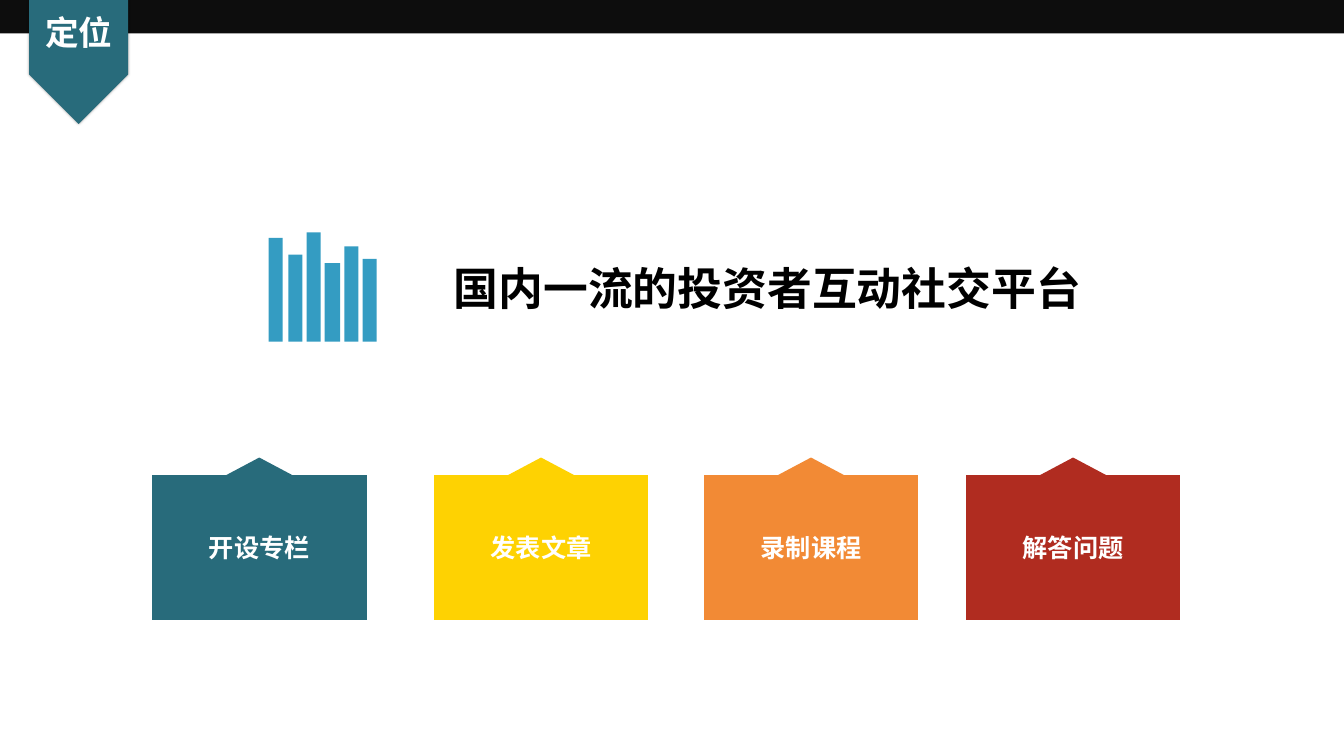
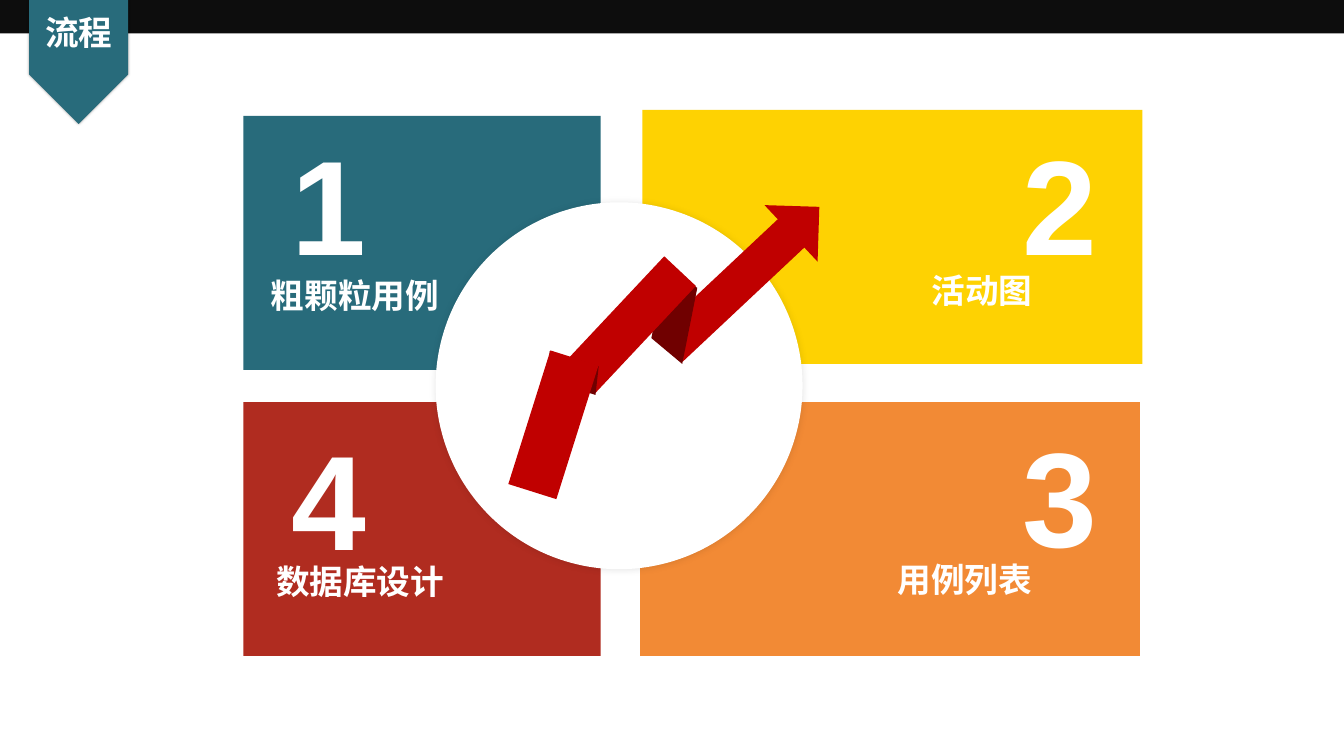
"""Build two slides on a platform's positioning and its work flow."""
import lxml.etree
import pptx
import pptx.dml.color
import pptx.enum.shapes
import pptx.enum.text
import pptx.oxml.ns
import pptx.util

Pt = pptx.util.Pt
KIND = pptx.enum.shapes.MSO_SHAPE
ALIGN = pptx.enum.text.PP_ALIGN
QN = pptx.oxml.ns.qn

CJK = "Noto Sans CJK SC"
WHITE, BLACK, BAND = "FFFFFF", "000000", "0D0D0D"
TEAL, GOLD, AMBER, BRICK = "286B7B", "FED202", "F28A35", "B02C20"
BLUE, RED, FOLD = "349CC2", "C00000", "700000"
WIDE, HIGH = 960, 540


def color(code):
    return pptx.dml.color.RGBColor.from_string(code)


def paint(shape, fill):
    shape.shadow.inherit = False
    shape.fill.solid()
    shape.fill.fore_color.rgb = color(fill)
    shape.line.fill.background()
    return shape


def block(slide, kind, box, fill, turn=0):
    shape = slide.shapes.add_shape(kind, *map(Pt, box))
    shape.rotation = turn
    return paint(shape, fill)


def shade(shape, blur, alpha):
    effects = shape.element.spPr.find(QN("a:effectLst"))
    outer = lxml.etree.SubElement(effects, QN("a:outerShdw"), blurRad=str(Pt(blur)),
                                  dist="0", dir="0", algn="ctr", rotWithShape="0")
    tone = lxml.etree.SubElement(outer, QN("a:srgbClr"), val=BLACK)
    lxml.etree.SubElement(tone, QN("a:alpha"), val=str(alpha * 1000))


def write(shape, text, size, fill=WHITE, face="Arial", align=ALIGN.LEFT):
    frame = shape.text_frame
    frame.word_wrap = True
    frame.text = text
    para = frame.paragraphs[0]
    para.alignment = align
    font = para.runs[0].font
    font.size = Pt(size)
    font.bold = True
    font.color.rgb = color(fill)
    font.name = face
    lxml.etree.SubElement(para.runs[0].font._element, QN("a:ea"), typeface=CJK)


def label(slide, box, text, size, **style):
    write(slide.shapes.add_textbox(*map(Pt, box)), text, size, **style)


def outline(slide, loops, fill):
    start, *rest = loops[0]
    pen = slide.shapes.build_freeform(*start, scale=Pt(1))
    pen.add_line_segments(rest)
    for start, *rest in loops[1:]:
        pen.move_to(*start)
        pen.add_line_segments(rest)
    return paint(pen.convert_to_shape(), fill)


def base(deck, title):
    slide = deck.slides.add_slide(deck.slide_layouts[6])
    block(slide, KIND.RECTANGLE, (0, 0, WIDE, 23.8), BAND)
    flag = block(slide, KIND.PENTAGON, (10.8, 7.9, 90.7, 70.6), TEAL, 90)
    shade(flag, 2, 40)
    label(slide, (20.9, 5, 70.6, 36), title, 24, face=CJK, align=ALIGN.CENTER)
    return slide


def bars(slide):
    left, step, width, foot = 192.4, 13.36, 10.1, 243.5
    loops = []
    for i, top in enumerate((170.5, 182.1, 165.6, 188.5, 175.6, 185.3)):
        x = left + i * step
        loops.append([(x, foot), (x + width, foot), (x + width, top), (x, top), (x, foot)])
    outline(slide, loops, BLUE)


def tile(slide, left, fill, text):
    width, peak = 153.2, 56.9
    body = block(slide, KIND.FLOWCHART_PROCESS, (left, 339.2, width, 103.6), fill)
    write(body, text, 18, align=ALIGN.CENTER)
    block(slide, KIND.ISOSCELES_TRIANGLE,
          (left + (width - peak) / 2, 326.8, peak, 15.1), fill)


def focus(deck):
    slide = base(deck, "定位")
    label(slide, (308.2, 182.9, 480.2, 85.7), "国内一流的投资者互动社交平台", 32,
          fill=BLACK, face=CJK, align=ALIGN.CENTER)
    tiles = ((108.6, TEAL, "开设专栏"), (309.9, GOLD, "发表文章"),
             (502.7, AMBER, "录制课程"), (689.9, BRICK, "解答问题"))
    for item in tiles:
        tile(slide, *item)
    bars(slide)


def arrow(slide):
    block(slide, KIND.UP_ARROW, (504, 124.6, 55.4, 146.9), RED, 46.8)
    block(slide, KIND.FLOWCHART_DATA, (447.1, 211, 69.1, 25.2), FOLD, 101.2)
    outline(slide, [[(472.3, 180.7), (500.4, 205.2), (512.6, 188.6), (472.3, 180.7)]], WHITE)
    block(slide, KIND.RECTANGLE, (396.7, 216.7, 105.8, 31), RED, 313.2)
    block(slide, KIND.PARALLELOGRAM, (395.3, 248.4, 27.4, 36), FOLD, 96.5)
    block(slide, KIND.RECTANGLE, (377.3, 253.4, 36, 100.1), RED, 17.5)


def flow(deck):
    slide = base(deck, "流程")
    cards = ((173.8, 82.8, 255.2, TEAL), (458.9, 78.5, 357.1, GOLD),
             (457.2, 287.2, 357.1, AMBER), (173.8, 287.2, 255.2, BRICK))
    for left, top, width, fill in cards:
        block(slide, KIND.RECTANGLE, (left, top, width, 181.4), fill)
    disc = block(slide, KIND.OVAL, (311.2, 144.5, 262.1, 262.1), WHITE)
    shade(disc, 5, 10)
    steps = (("1", 200.9, 82.8, "粗颗粒用例", 186.5, 193, 139),
             ("2", 723.6, 82.8, "活动图", 658.3, 189.4, 88),
             ("3", 723.6, 291.6, "用例列表", 634, 396, 112),
             ("4", 200.9, 293.8, "数据库设计", 190.1, 397.4, 144))
    for mark, left, top, name, x, y, width in steps:
        label(slide, (left, top, 69, 123.8), mark, 96)
        label(slide, (x, y, width, 36), name, 24)
    arrow(slide)


def main():
    deck = pptx.Presentation()
    deck.slide_width, deck.slide_height = Pt(WIDE), Pt(HIGH)
    focus(deck)
    flow(deck)
    deck.save("out.pptx")


if __name__ == "__main__":
    main()
